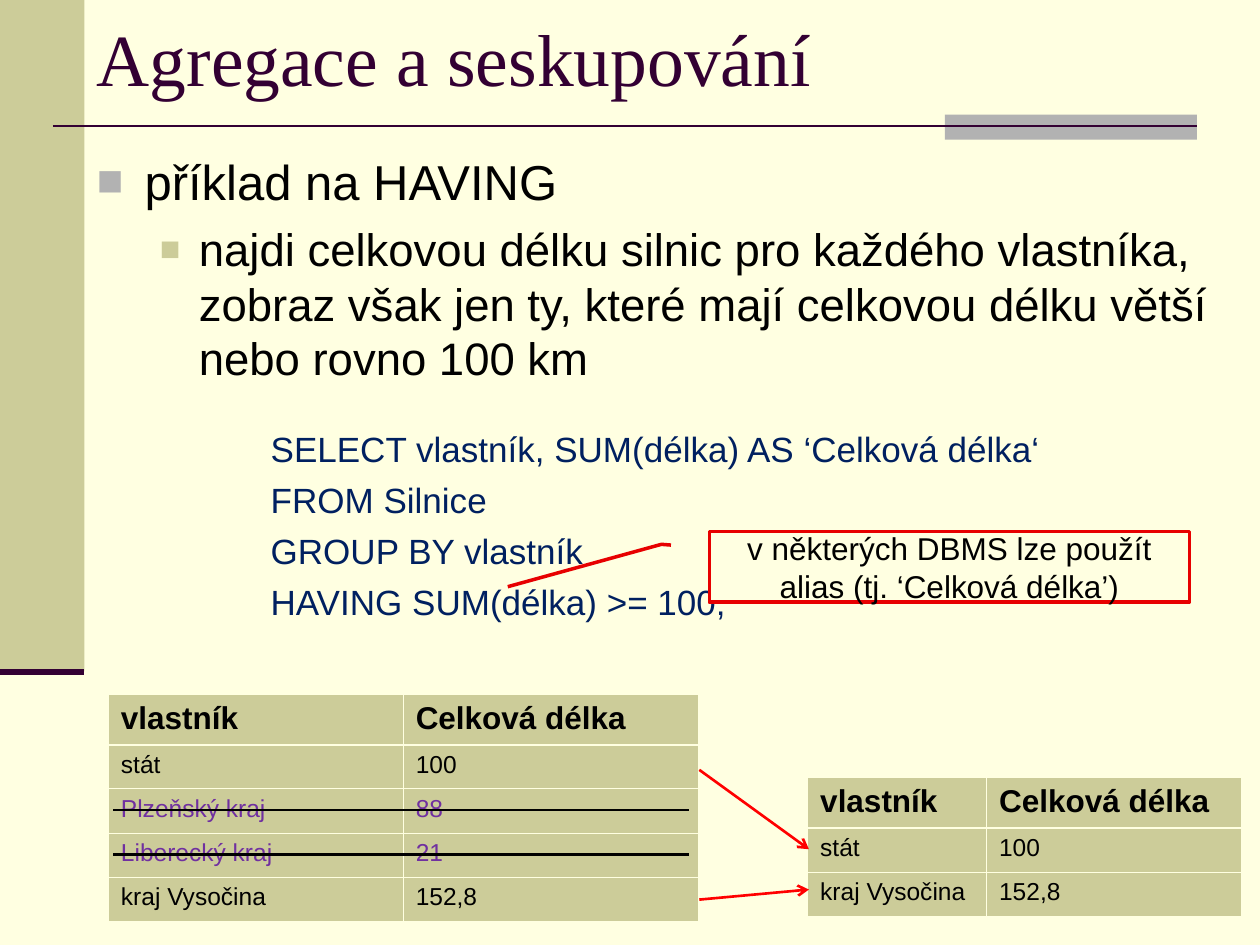
"""Build the slide on aggregation and grouping with SQL HAVING."""
from dataclasses import dataclass

from lxml import etree
from pptx import Presentation
from pptx.dml.color import RGBColor
from pptx.enum.shapes import MSO_CONNECTOR, MSO_SHAPE
from pptx.enum.text import MSO_ANCHOR, PP_ALIGN
from pptx.oxml.ns import qn
from pptx.util import Inches, Pt

STRAIGHT = MSO_CONNECTOR.STRAIGHT
RECTANGLE = MSO_SHAPE.RECTANGLE
CALLOUT = MSO_SHAPE.LINE_CALLOUT_2
MIDDLE = MSO_ANCHOR.MIDDLE
CENTER = PP_ALIGN.CENTER


@dataclass(frozen=True)
class Theme:
    """Fonts, colours and type sizes."""
    title_font: str = "Times New Roman"
    body_font: str = "Arial"
    paper: str = "FFFFE1"
    khaki: str = "CCCC99"
    grey: str = "B2B2B2"
    plum: str = "330033"
    ink: str = "000000"
    code: str = "002060"
    excluded: str = "7030A0"
    arrow: str = "FF0000"
    callout: str = "E70000"
    title_size: float = 42
    topic_size: float = 28
    task_size: float = 26
    code_size: float = 20
    label_size: float = 18
    cell_size: float = 14


THEME = Theme()
QUERY = [
    "SELECT vlastník, SUM(délka) AS ‘Celková délka‘",
    "FROM Silnice",
    "GROUP BY vlastník",
    "HAVING SUM(délka) >= 100;",
]
HEADER = ("vlastník", "Celková délka")
KEPT_FIRST = ("stát", "100")
KEPT_LAST = ("kraj Vysočina", "152,8")
EXCLUDED = [("Plzeňský kraj", "88"), ("Liberecký kraj", "21")]
ROW_HEIGHTS = (0.4, 0.35)


def rgb(color):
    """Turn a hex string into a colour."""
    return RGBColor.from_string(color)


def add_xml(parent, tag, **attributes):
    """Append a DrawingML child element."""
    return etree.SubElement(parent, qn(tag), attributes)


def style_text(paragraph, size, color, font=THEME.body_font, bold=False):
    """Format every run of a paragraph."""
    for run in paragraph.runs:
        run.font.name = font
        run.font.size = Pt(size)
        run.font.bold = bold
        run.font.color.rgb = rgb(color)


def add_band(slide, left, top, width, height, color):
    """Add a plain filled rectangle."""
    band = slide.shapes.add_shape(
        RECTANGLE, Inches(left), Inches(top), Inches(width), Inches(height))
    band.shadow.inherit = False
    band.fill.solid()
    band.fill.fore_color.rgb = rgb(color)
    band.line.fill.background()


def add_line(slide, start, end, color, width=1.5, arrow=False):
    """Add a straight line, optionally with an arrowhead at its end."""
    line = slide.shapes.add_connector(
        STRAIGHT, *(Inches(value) for value in (*start, *end)))
    line.line.color.rgb = rgb(color)
    line.line.width = Pt(width)
    if arrow:
        add_xml(line.line._get_or_add_ln(), "a:tailEnd", type="arrow")
    add_xml(line._element.spPr, "a:effectLst")


def add_text_frame(slide, left, top, width, height):
    """Add a wrapping text box and return its frame."""
    frame = slide.shapes.add_textbox(
        Inches(left), Inches(top), Inches(width), Inches(height)).text_frame
    frame.word_wrap = True
    return frame


def add_title(slide):
    """Add the slide heading."""
    frame = add_text_frame(slide, 0.67, 0, 9.33, 0.91)
    frame.vertical_anchor = MIDDLE
    frame.text = "Agregace a seskupování"
    style_text(frame.paragraphs[0], THEME.title_size, THEME.plum, THEME.title_font)


def set_paragraph(paragraph, text, size, color, before, margin, hanging=0, bullet=None):
    """Fill a body paragraph; bullet is a colour and a size percentage."""
    paragraph.text = text
    paragraph.space_before = Pt(before)
    style_text(paragraph, size, color)
    properties = paragraph._p.get_or_add_pPr()
    properties.set("marL", str(Inches(margin)))
    properties.set("indent", str(-Inches(hanging)))
    if bullet:
        bullet_color, percent = bullet
        add_xml(add_xml(properties, "a:buClr"), "a:srgbClr", val=bullet_color)
        add_xml(properties, "a:buSzPct", val=str(percent * 1000))
        add_xml(properties, "a:buFont", typeface=THEME.body_font)
        add_xml(properties, "a:buChar", char="■")


def add_body(slide):
    """Add the task and its SQL query."""
    frame = add_text_frame(slide, 0.67, 1.15, 9.33, 6.35)
    set_paragraph(frame.paragraphs[0], "příklad na HAVING", THEME.topic_size,
                  THEME.ink, 7, 0.38, 0.38, (THEME.grey, 90))
    task = ("najdi celkovou délku silnic pro každého vlastníka, zobraz však jen ty, "
            "které mají celkovou délku větší nebo rovno 100 km")
    set_paragraph(frame.add_paragraph(), task, THEME.task_size,
                  THEME.ink, 6.5, 0.81, 0.31, (THEME.khaki, 75))
    for index, clause in enumerate(QUERY):
        set_paragraph(frame.add_paragraph(), clause, THEME.code_size,
                      THEME.code, 5 if index else 24.5, 1.38)


def set_borders(cell, row):
    """Draw thin cell borders, with a thicker rule under the header."""
    properties = cell._tc.get_or_add_tcPr()
    widths = {"L": 0.45, "R": 0.45, "T": 1.47 if row == 1 else 0.45,
              "B": 1.47 if row == 0 else 0.45}
    for side, width in widths.items():
        border = add_xml(properties, f"a:ln{side}", w=str(Pt(width)))
        add_xml(add_xml(border, "a:solidFill"), "a:srgbClr", val=THEME.paper)


def add_result_table(slide, left, top, widths, rows):
    """Add a table of road lengths by owner."""
    heights = [ROW_HEIGHTS[min(row, 1)] for row in range(len(rows))]
    table = slide.shapes.add_table(
        len(rows), len(widths), Inches(left), Inches(top),
        Inches(sum(widths)), Inches(sum(heights))).table
    for column, width in zip(table.columns, widths):
        column.width = Inches(width)
    for row, values in enumerate(rows):
        table.rows[row].height = Inches(heights[row])
        color = THEME.excluded if values in EXCLUDED else THEME.ink
        for column, value in enumerate(values):
            cell = table.cell(row, column)
            cell.text = value
            set_borders(cell, row)
            cell.fill.solid()
            cell.fill.fore_color.rgb = rgb(THEME.khaki)
            size = THEME.cell_size if row else THEME.label_size
            style_text(cell.text_frame.paragraphs[0], size, color, bold=row == 0)


def add_callout(slide):
    """Add the note pointing at the HAVING clause."""
    note = slide.shapes.add_shape(
        CALLOUT, Inches(5.63), Inches(4.22), Inches(3.81), Inches(0.56))
    for index, value in enumerate((0.188, -0.083, 0.185, -0.104, 0.776, -0.416)):
        note.adjustments[index] = round(value, 2)
    note.shadow.inherit = False
    note.fill.solid()
    note.fill.fore_color.rgb = rgb(THEME.paper)
    note.line.color.rgb = rgb(THEME.callout)
    note.line.width = Pt(2)
    frame = note.text_frame
    frame.word_wrap = True
    frame.vertical_anchor = MIDDLE
    frame.text = "v některých DBMS lze použít alias (tj. ‘Celková délka’)"
    frame.paragraphs[0].alignment = CENTER
    style_text(frame.paragraphs[0], THEME.label_size, THEME.ink)


def main():
    """Assemble and save the slide."""
    deck = Presentation()
    deck.slide_width, deck.slide_height = Inches(10), Inches(7.5)
    slide = deck.slides.add_slide(deck.slide_layouts[6])
    slide.background.fill.solid()
    slide.background.fill.fore_color.rgb = rgb(THEME.paper)
    add_band(slide, 0, 0, 0.67, 5.33, THEME.khaki)
    add_band(slide, 7.5, 0.91, 2, 0.2, THEME.grey)
    add_line(slide, (0.42, 1), (9.5, 1), THEME.plum)
    add_line(slide, (0, 5.33), (0.67, 5.33), THEME.plum, 3.5)
    add_title(slide)
    add_body(slide)
    add_result_table(slide, 6.41, 6.17, (1.42, 2.02), [HEADER, KEPT_FIRST, KEPT_LAST])
    add_result_table(slide, 0.86, 5.51, (2.34, 2.34),
                     [HEADER, KEPT_FIRST, *EXCLUDED, KEPT_LAST])
    for start, end in ((6.11, 6.74), (7.14, 7.06)):
        add_line(slide, (5.55, start), (6.42, end), THEME.arrow, arrow=True)
    for strike in (6.43, 6.78):
        add_line(slide, (0.9, strike), (5.47, strike), THEME.ink)
    add_callout(slide)
    deck.save("out.pptx")


if __name__ == "__main__":
    main()
